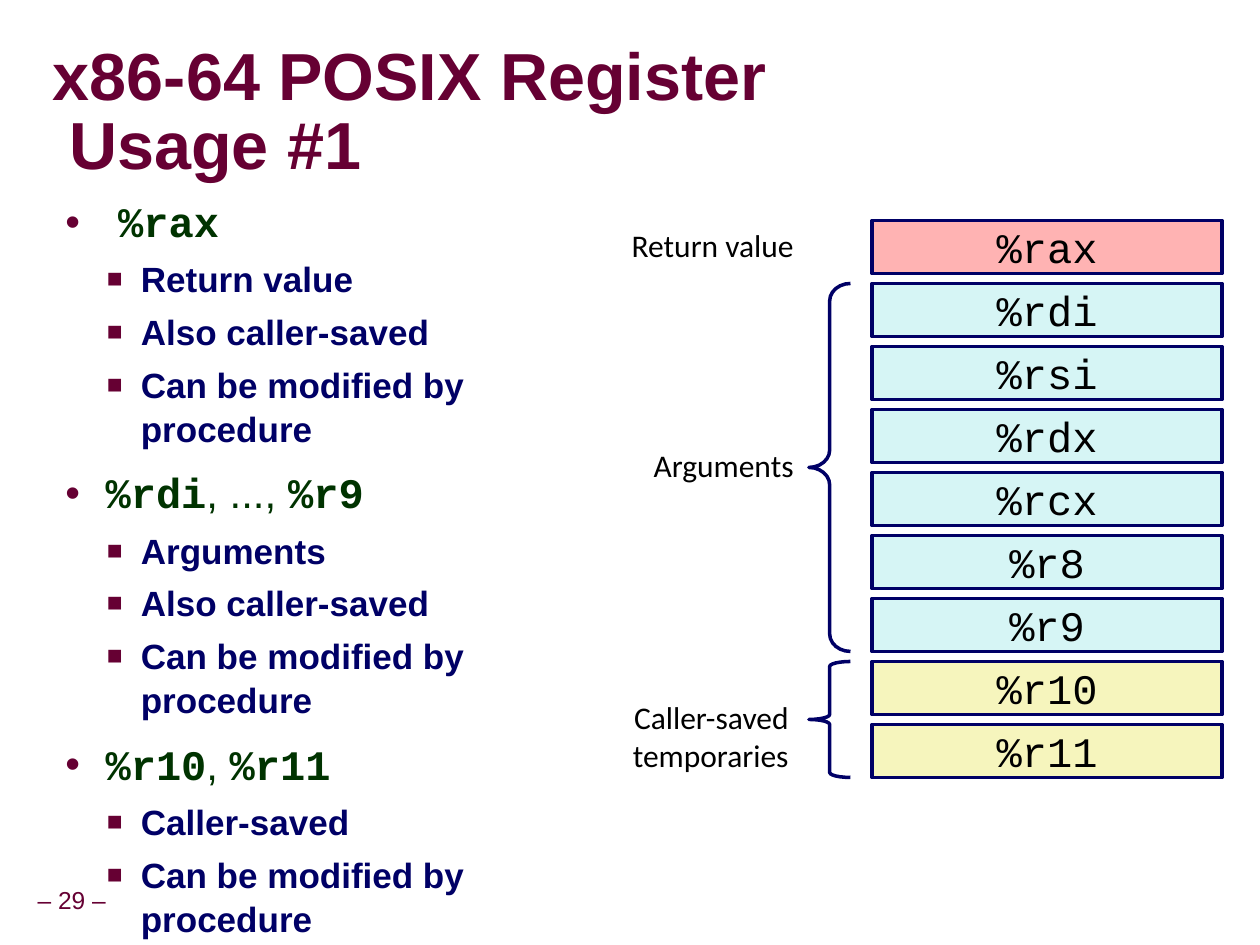
from lxml.etree import SubElement
from pptx import Presentation
from pptx.dml.color import RGBColor
from pptx.enum.shapes import MSO_SHAPE
from pptx.enum.text import MSO_ANCHOR, PP_ALIGN
from pptx.oxml import parse_xml
from pptx.oxml.ns import nsdecls, qn
from pptx.util import Inches, Pt

MAROON, NAVY, GREEN, BLACK = "660033", "000066", "003300", "000000"
PINK, CYAN, YELLOW = "FFB3B3", "D6F5F5", "F6F5BD"


def rgb(color):
    return RGBColor.from_string(color)


def add_run(paragraph, text, color, style):
    run = paragraph.add_run()
    run.text = text
    run.font.color.rgb = rgb(color)
    for name, value in style.items():
        setattr(run.font, name, value)
    return run


title_style = {"name": "Arial", "size": Pt(38), "bold": True}
code_style = {"name": "Courier New", "size": Pt(24), "bold": True}
comma_style = {"name": "Arial", "size": Pt(24), "bold": False}
detail_style = {"name": "Arial", "size": Pt(20), "bold": True}
register_style = {"name": "Courier New", "size": Pt(24)}
caption_style = {"name": "Calibri", "size": Pt(18)}
footer_style = {"name": "Arial", "size": Pt(14)}

topic_format = {"line_spacing": 0.95, "space_before": Pt(12)}
detail_format = {"line_spacing": 1.05, "space_before": Pt(5), "level": 1}

presentation = Presentation()
presentation.slide_width = Inches(10)
presentation.slide_height = Inches(7.5)
slide = presentation.slides.add_slide(presentation.slide_layouts[6])

frames = {}
for part, left, top, width, height, margins, anchor, wrap in [
    ("page", 0.24, 7, 0.66, 0.31, (0.05, 0.05), MSO_ANCHOR.MIDDLE, False),
    ("title", 0.42, 0.28, 7.08, 1.25, (0, 0), MSO_ANCHOR.MIDDLE, True),
    ("topics", 0.42, 1.53, 4.44, 5.94, (0.1, 0.05), MSO_ANCHOR.TOP, True),
    ("Return value", 4.95, 1.75, 1.39, 0.39, (0.04, 0.04), MSO_ANCHOR.TOP, False),
    ("Arguments", 5.13, 3.5, 1.21, 0.39, (0.04, 0.04), MSO_ANCHOR.TOP, False),
    ("Caller-saved\ntemporaries", 4.91, 5.5, 1.39, 0.69, (0.04, 0.04), MSO_ANCHOR.TOP, False),
]:
    box = slide.shapes.add_textbox(Inches(left), Inches(top), Inches(width), Inches(height))
    frame = frames[part] = box.text_frame
    side, edge = Inches(margins[0]), Inches(margins[1])
    frame_format = {
        "margin_left": side, "margin_right": side, "margin_top": edge,
        "margin_bottom": edge, "vertical_anchor": anchor, "word_wrap": wrap,
    }
    for name, value in frame_format.items():
        setattr(frame, name, value)

page_line = frames.pop("page").paragraphs[0]
page_line.alignment = PP_ALIGN.CENTER
page_line.line_spacing = 0.9
add_run(page_line, "– 29 –", MAROON, footer_style)

title_line = frames.pop("title").paragraphs[0]
title_line.line_spacing = 0.87
title_indent = title_line._p.get_or_add_pPr()
title_indent.set("marL", str(Inches(0.13)))
title_indent.set("indent", str(Inches(-0.13)))
title_run = add_run(title_line, "x86-64 POSIX Register Usage #1", MAROON, title_style)
title_shadow = parse_xml(
    f'<a:effectLst {nsdecls("a")}><a:outerShdw blurRad="38100" dist="38100" dir="2700000">'
    '<a:srgbClr val="C0C0C0"/></a:outerShdw></a:effectLst>'
)
title_run.font._element.find(qn("a:solidFill")).addnext(title_shadow)

topics = [
    (["%rax"], 0.42, ["Return value", "Also caller-saved", "Can be modified by procedure"]),
    (["%rdi", ", ..., ", "%r9"], 0.32,
     ["Arguments", "Also caller-saved", "Can be modified by procedure"]),
    (["%r10", ", ", "%r11"], 0.32, ["Caller-saved", "Can be modified by procedure"]),
]
bullet_lines = []
for names, margin, details in topics:
    heading = [(name, GREEN, code_style if name[0] == "%" else comma_style) for name in names]
    bullet_lines.append((heading, topic_format, margin, -0.42, "•", 100))
    for detail in details:
        bullet_lines.append(([(detail, NAVY, detail_style)], detail_format, 0.6, -0.27, "■", 75))

topic_frame = frames.pop("topics")
for index, (pieces, line_format, margin, indent, mark, percent) in enumerate(bullet_lines):
    line = topic_frame.add_paragraph() if index else topic_frame.paragraphs[0]
    for name, value in line_format.items():
        setattr(line, name, value)
    properties = line._p.get_or_add_pPr()
    properties.set("marL", str(Inches(margin)))
    properties.set("indent", str(Inches(indent)))
    mark_color = SubElement(properties, qn("a:buClr"))
    SubElement(mark_color, qn("a:srgbClr"), val=MAROON)
    SubElement(properties, qn("a:buSzPct"), val=str(percent * 1000))
    SubElement(properties, qn("a:buFont"), typeface="Arial")
    SubElement(properties, qn("a:buChar"), char=mark)
    for text, color, style in pieces:
        add_run(line, text, color, style)

for caption, frame in frames.items():
    for index, text in enumerate(caption.split("\n")):
        line = frame.add_paragraph() if index else frame.paragraphs[0]
        line.alignment = PP_ALIGN.RIGHT
        add_run(line, text, BLACK, caption_style)

registers = [("%rax", PINK)]
registers += [(name, CYAN) for name in ("%rdi", "%rsi", "%rdx", "%rcx", "%r8", "%r9")]
registers += [(name, YELLOW) for name in ("%r10", "%r11")]
for row, (name, color) in enumerate(registers):
    register = slide.shapes.add_shape(
        MSO_SHAPE.RECTANGLE, Inches(6.92), Inches(1.75 + 0.5 * row), Inches(2.78), Inches(0.42)
    )
    register.shadow.inherit = False
    register.fill.solid()
    register.fill.fore_color.rgb = rgb(color)
    register.line.color.rgb = rgb(NAVY)
    register.line.width = Pt(2)
    frame = register.text_frame
    for side in ("left", "right", "top", "bottom"):
        setattr(frame, f"margin_{side}", 0)
    frame.vertical_anchor = MSO_ANCHOR.MIDDLE
    frame.paragraphs[0].alignment = PP_ALIGN.CENTER
    add_run(frame.paragraphs[0], name, BLACK, register_style)

for top, height, curve in [(2.25, 2.92, 0.42), (5.25, 0.92, 0.12)]:
    brace = slide.shapes.add_shape(
        MSO_SHAPE.LEFT_BRACE, Inches(6.42), Inches(top), Inches(0.33), Inches(height)
    )
    brace.shadow.inherit = False
    brace.adjustments[0] = curve
    brace.fill.background()
    brace.line.color.rgb = rgb(NAVY)
    brace.line.width = Pt(2)

presentation.save("out.pptx")
